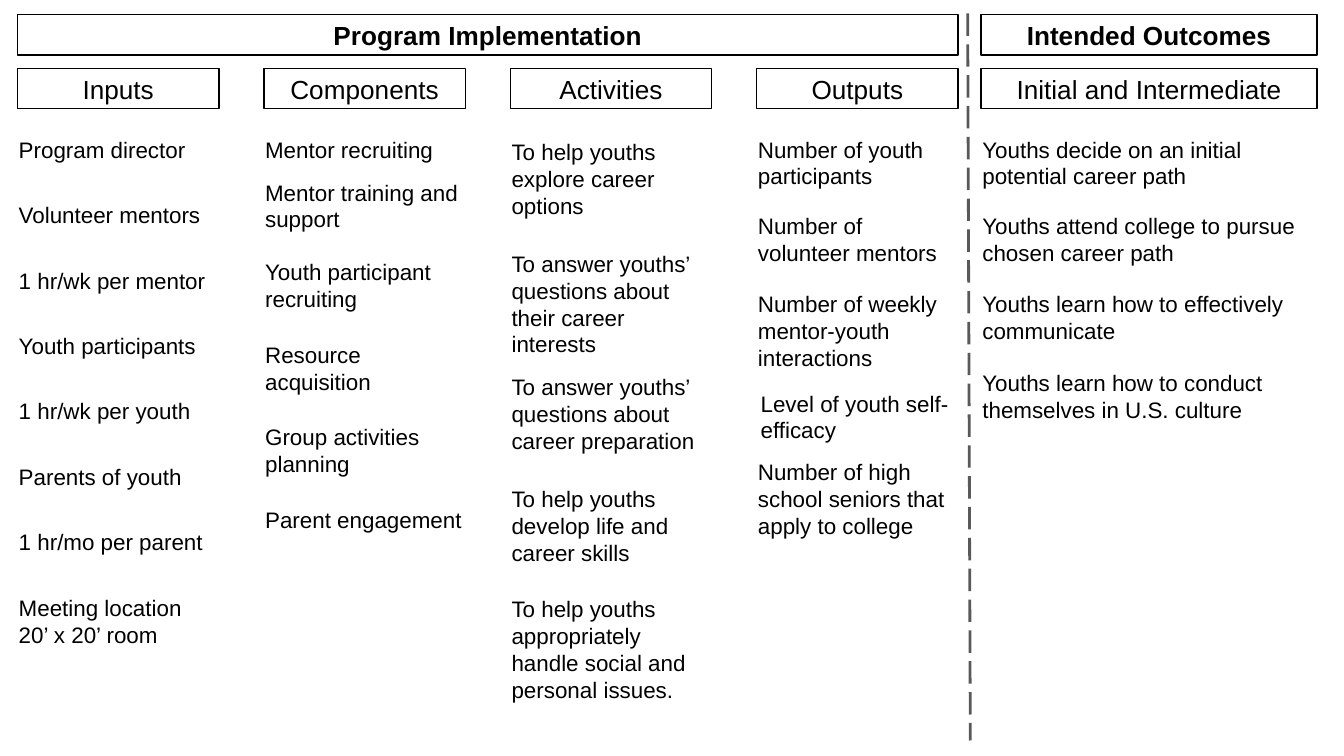
import pptx
import pptx.dml.color
import pptx.enum.dml
import pptx.enum.shapes
import pptx.enum.text
import pptx.oxml
import pptx.oxml.ns
import pptx.util

Inches = pptx.util.Inches
Pt = pptx.util.Pt
PP_ALIGN = pptx.enum.text.PP_ALIGN
MSO_ANCHOR = pptx.enum.text.MSO_ANCHOR

BLACK = pptx.dml.color.RGBColor(0x00, 0x00, 0x00)
GRAY = pptx.dml.color.RGBColor(0x59, 0x59, 0x59)

FONT = "Arial"
BLANK_LAYOUT = 6
SLIDE_WIDTH = 10
SLIDE_HEIGHT = SLIDE_WIDTH * 9 / 16
INSET = 0.01
HEADER_HEIGHT = 0.3
BANNER_TOP = 0.11
HEADING_TOP = 0.51

# Four implementation columns at an equal pitch, then the outcomes column
COLUMN_LEFT = 0.13
COLUMN_WIDTH = 1.5
COLUMN_PITCH = (5.63 - COLUMN_LEFT) / 3
OUTCOMES_LEFT = 7.3
OUTCOMES_WIDTH = 2.5

# Inputs are spread evenly from the first to the last top
INPUTS_FIRST_TOP = 1.0
INPUTS_LAST_TOP = 4.41
INPUTS = [
    "Program director",
    "Volunteer mentors",
    "1 hr/wk per mentor",
    "Youth participants",
    "1 hr/wk per youth",
    "Parents of youth",
    "1 hr/mo per parent",
    "Meeting location\n20’ x 20’ room",
]

# Each entry: top, height, text
COMPONENTS = [
    (1.0, 0.3, "Mentor recruiting"),
    (1.32, 0.4, "Mentor training and support"),
    (1.91, 0.5, "Youth participant recruiting"),
    (2.53, 0.5, "Resource acquisition"),
    (3.14, 0.5, "Group activities planning"),
    (3.76, 0.3, "Parent engagement"),
]
ACTIVITIES = [
    (1.02, 0.7, "To help youths explore career options"),
    (1.85, 0.8, "To answer youths’ questions about their career interests"),
    (2.77, 0.7, "To answer youths’ questions about career preparation"),
    (3.6, 0.7, "To help youths develop life and career skills"),
    (4.42, 0.8, "To help youths appropriately handle social and personal issues."),
]
OUTPUTS = [
    (1.0, 0.5, "Number of youth participants"),
    (1.57, 0.5, "Number of volunteer mentors"),
    (2.15, 0.6, "Number of weekly mentor-youth interactions"),
    (3.4, 0.7, "Number of high school seniors that apply to college"),
]
OUTCOMES = [
    (1.0, 0.5, "Youths decide on an initial potential career path"),
    (1.57, 0.5, "Youths attend college to pursue chosen career path"),
    (2.15, 0.6, "Youths learn how to effectively communicate"),
    (2.74, 0.5, "Youths learn how to conduct themselves in U.S. culture"),
]


def write_text(shape, text, size, alignment, anchor, bold=False):
    text_frame = shape.text_frame
    text_frame.word_wrap = True
    text_frame.vertical_anchor = anchor
    text_frame.margin_left = text_frame.margin_right = Inches(INSET)
    text_frame.margin_top = text_frame.margin_bottom = Inches(INSET)
    text_frame.text = text
    for paragraph in text_frame.paragraphs:
        paragraph.alignment = alignment
        for run in paragraph.runs:
            run.font.name = FONT
            run.font.size = Pt(size)
            run.font.bold = bold
            run.font.color.rgb = BLACK


def add_header(slide, left, top, width, text, bold=False):
    shape = slide.shapes.add_shape(
        pptx.enum.shapes.MSO_SHAPE.RECTANGLE,
        Inches(left), Inches(top), Inches(width), Inches(HEADER_HEIGHT))
    shape.shadow.inherit = False
    shape.fill.background()
    shape.line.color.rgb = BLACK
    shape.line.width = Pt(0.75)
    write_text(shape, text, 14, PP_ALIGN.CENTER, MSO_ANCHOR.MIDDLE, bold)


def add_entry(slide, left, top, width, height, text):
    shape = slide.shapes.add_textbox(
        Inches(left), Inches(top), Inches(width), Inches(height))
    write_text(shape, text, 12, PP_ALIGN.LEFT, MSO_ANCHOR.TOP)


def add_column(slide, left, width, heading, entries):
    add_header(slide, left, HEADING_TOP, width, heading)
    for top, height, text in entries:
        add_entry(slide, left, top, width, height, text)


def add_divider(slide):
    line = slide.shapes.add_connector(
        pptx.enum.shapes.MSO_CONNECTOR.STRAIGHT,
        Inches(7.2), Inches(0.1), Inches(7.22), Inches(5.51))
    line.line.color.rgb = GRAY
    line.line.width = Pt(1.5)
    line.line.dash_style = pptx.enum.dml.MSO_LINE.LONG_DASH
    properties = line._element.spPr
    properties.append(pptx.oxml.parse_xml(
        "<a:effectLst %s/>" % pptx.oxml.ns.nsdecls("a")))


def main():
    presentation = pptx.Presentation()
    presentation.slide_width = Inches(SLIDE_WIDTH)
    presentation.slide_height = Inches(SLIDE_HEIGHT)
    slide = presentation.slides.add_slide(
        presentation.slide_layouts[BLANK_LAYOUT])

    # Banners over the two halves
    add_header(slide, COLUMN_LEFT, BANNER_TOP, 7, "Program Implementation", True)
    add_header(slide, OUTCOMES_LEFT, BANNER_TOP, OUTCOMES_WIDTH,
               "Intended Outcomes", True)

    # Implementation columns
    input_pitch = (INPUTS_LAST_TOP - INPUTS_FIRST_TOP) / (len(INPUTS) - 1)
    inputs = [(INPUTS_FIRST_TOP + index * input_pitch,
               0.5 if "\n" in text else 0.3, text)
              for index, text in enumerate(INPUTS)]
    columns = [("Inputs", inputs), ("Components", COMPONENTS),
               ("Activities", ACTIVITIES), ("Outputs", OUTPUTS)]
    for index, (heading, entries) in enumerate(columns):
        add_column(slide, COLUMN_LEFT + index * COLUMN_PITCH, COLUMN_WIDTH,
                   heading, entries)

    # This output sits slightly right of its column
    add_entry(slide, 5.65, 2.89, COLUMN_WIDTH, 0.5, "Level of youth self-efficacy")

    # Outcomes column and the dashed divider
    add_column(slide, OUTCOMES_LEFT, OUTCOMES_WIDTH,
               "Initial and Intermediate", OUTCOMES)
    add_divider(slide)

    presentation.save("out.pptx")


if __name__ == "__main__":
    main()
